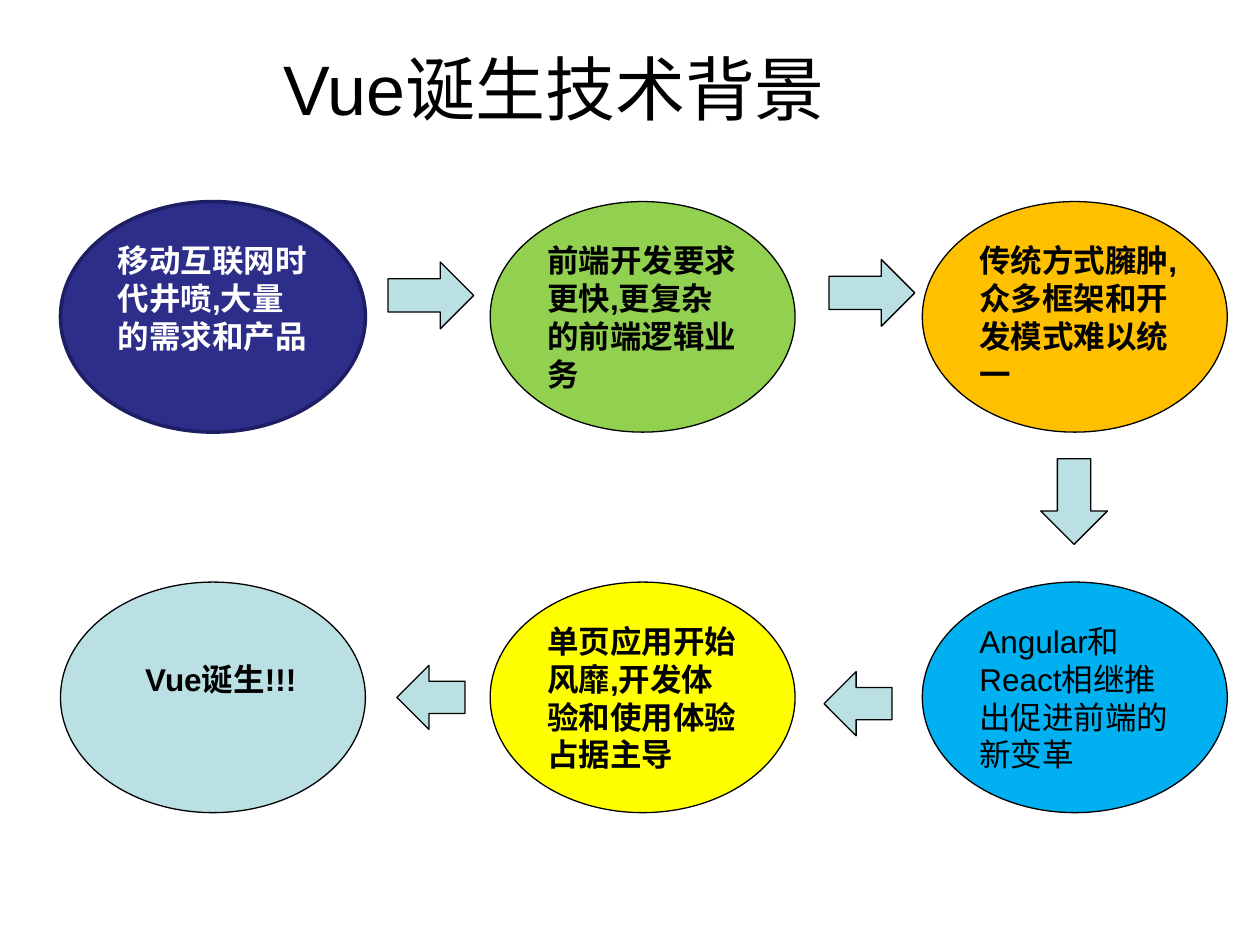
"""Build a slide showing the technical background to the birth of Vue as a six-step flow."""
from pptx import Presentation
from pptx.dml.color import RGBColor
from pptx.enum.shapes import MSO_SHAPE as Shape
from pptx.enum.text import MSO_ANCHOR as Anchor, MSO_AUTO_SIZE as AutoSize, PP_ALIGN as Align
from pptx.util import Inches, Pt


def color(value):
    return RGBColor.from_string(value)


def add_outlined_shape(kind, left, top, width, height, fill, line="000000", weight=0.75):
    shape = slide.shapes.add_shape(kind, Inches(left), Inches(top), Inches(width), Inches(height))
    shape.shadow.inherit = False
    shape.fill.solid()
    shape.fill.fore_color.rgb = color(fill)
    shape.line.color.rgb = color(line)
    shape.line.width = Pt(weight)
    return shape


presentation = Presentation()
presentation.slide_width = Inches(10)
presentation.slide_height = Inches(7.5)
slide = presentation.slides.add_slide(presentation.slide_layouts[5])

title = slide.shapes.title
title.left, title.top = Inches(2.15), Inches(0.31)
title.width, title.height = Inches(4.65), Inches(0.77)
frame = title.text_frame
frame.word_wrap = False
frame.auto_size = AutoSize.NONE
frame.vertical_anchor = Anchor.TOP
paragraph = frame.paragraphs[0]
paragraph.alignment = Align.LEFT
run = paragraph.add_run()
run.text = "Vue诞生技术背景"
run.font.name = "Arial"
run.font.size = Pt(40)
run.font.color.rgb = color("000000")

columns = [0.48, 3.89, 7.32]
rows = [1.6, 4.62]
pale_blue = "BBE0E3"
black, white = "000000", "FFFFFF"

steps = [
    (0, 0, "移动互联网时代井喷,大量的需求和产品", "2D2D8A", "1E1E64", 2, white, True),
    (1, 0, "前端开发要求 更快,更复杂的前端逻辑业务", "92D050", black, 0.75, black, True),
    (2, 0, "传统方式臃肿,众多框架和开发模式难以统一", "FFC000", black, 0.75, black, True),
    (2, 1, "Angular和React相继推出促进前端的新变革", "00B0F0", black, 0.75, black, False),
    (1, 1, "单页应用开始风靡,开发体验和使用体验占据主导", "FFFF00", black, 0.75, black, True),
    (0, 1, "Vue诞生!!!", pale_blue, black, 0.75, black, True),
]
for column, row, text, fill, line, weight, text_color, bold in steps:
    ellipse = add_outlined_shape(
        Shape.OVAL, columns[column], rows[row], 2.42, 1.83, fill, line, weight)
    frame = ellipse.text_frame
    frame.word_wrap = True
    frame.vertical_anchor = Anchor.TOP
    paragraph = frame.paragraphs[0]
    paragraph.alignment = Align.LEFT
    run = paragraph.add_run()
    run.text = text
    run.font.name = "Arial"
    run.font.size = Pt(18)
    run.font.bold = bold
    run.font.color.rgb = color(text_color)

frame.margin_top = Inches(0.35)
paragraph._p.get_or_add_pPr().set("indent", str(Inches(0.22)))

arrows = [
    (Shape.RIGHT_ARROW, 3.08, 2.08, 0.68, 0.53),
    (Shape.RIGHT_ARROW, 6.58, 2.06, 0.68, 0.53),
    (Shape.DOWN_ARROW, 8.26, 3.64, 0.53, 0.68),
    (Shape.LEFT_ARROW, 6.54, 5.33, 0.54, 0.51),
    (Shape.LEFT_ARROW, 3.15, 5.28, 0.54, 0.51),
]
for kind, left, top, width, height in arrows:
    add_outlined_shape(kind, left, top, width, height, pale_blue)

presentation.save("out.pptx")
